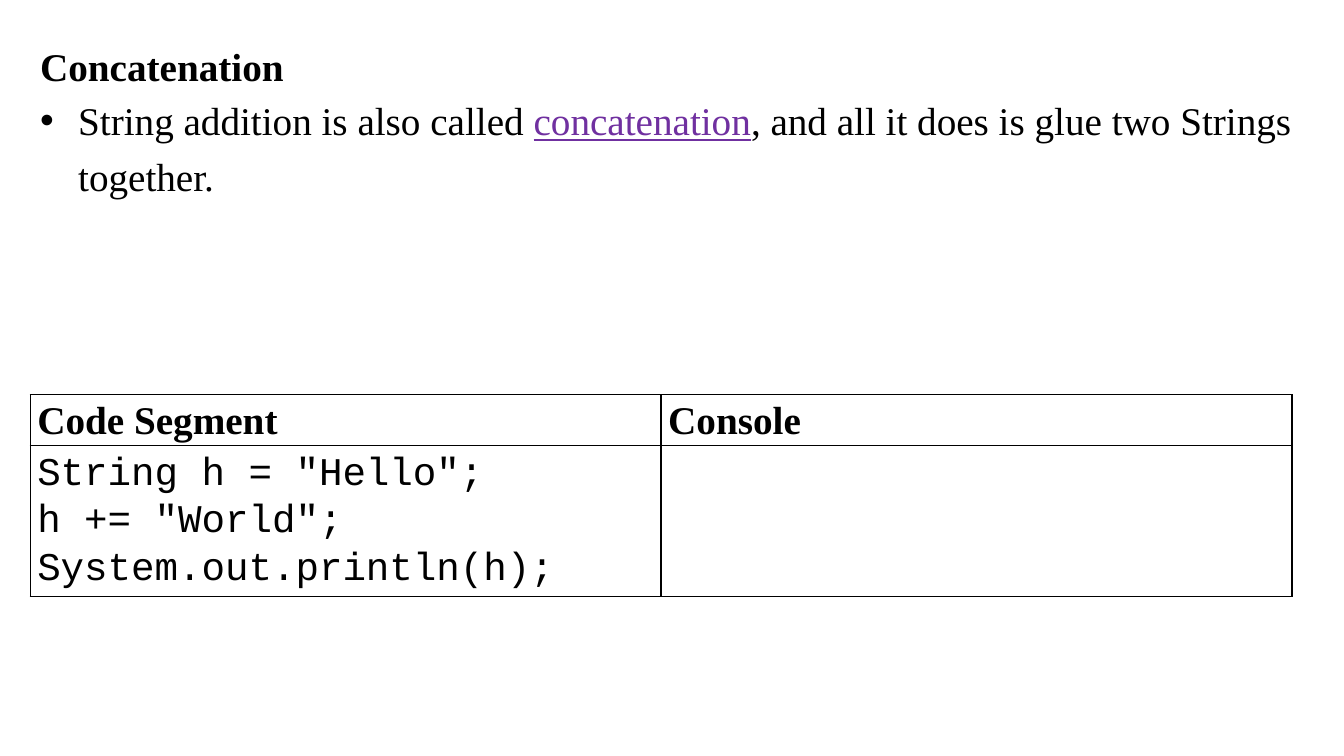
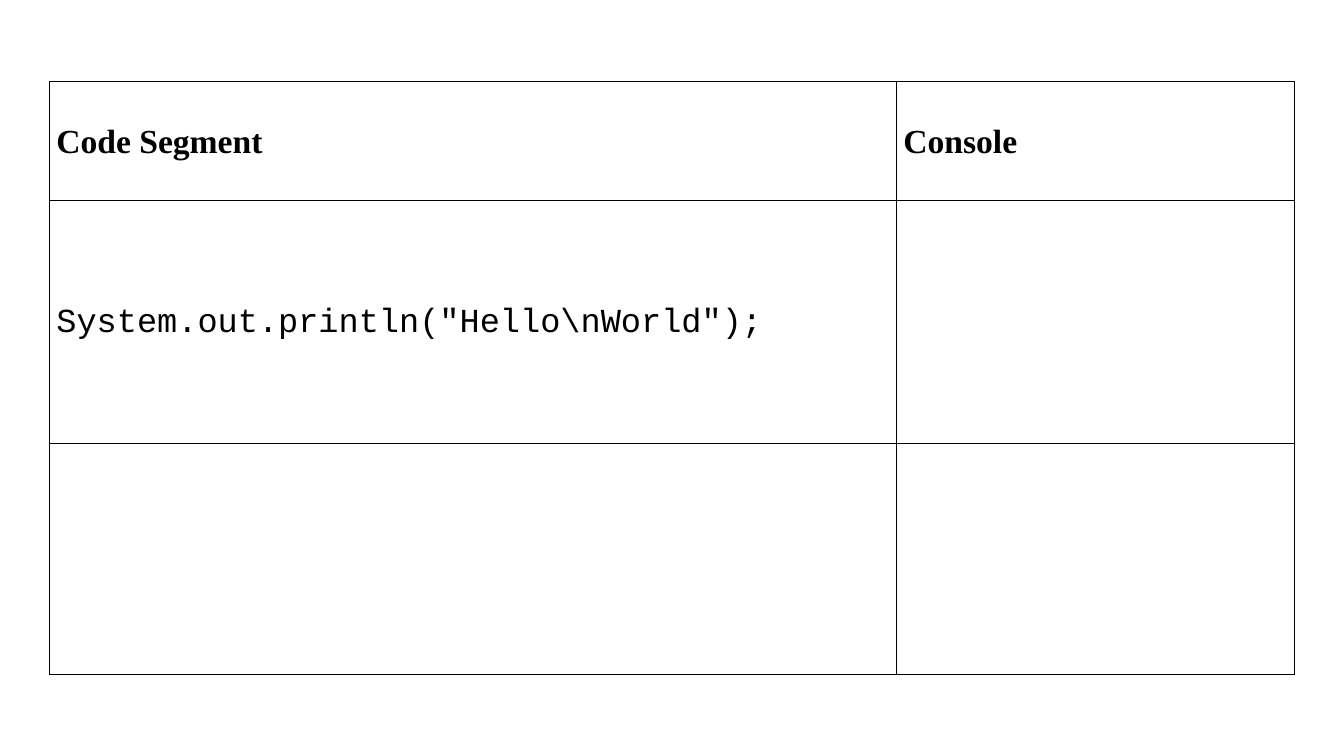
import dataclasses

import lxml.etree
import pptx
import pptx.dml.color
import pptx.enum.text
import pptx.oxml
import pptx.oxml.ns
import pptx.util

Cm = pptx.util.Cm
Pt = pptx.util.Pt


@dataclasses.dataclass(frozen=True)
class Theme:
    """Colours, fonts and type sizes shared by the slides."""

    ink: str = "000000"
    accent: str = "7030A0"
    prose: str = "Times New Roman"
    code: str = "Courier New"
    large: int = 28
    medium: int = 24
    leading: float = 1.07
    bullet_leading: float = 1.2
    rule: int = 1


@dataclasses.dataclass(frozen=True)
class Box:
    """A region of a slide, in centimetres."""

    left: float
    top: float
    width: float
    height: float

    def lengths(self):
        """Return left, top, width and height as lengths."""
        return [Cm(value) for value in dataclasses.astuple(self)]


THEME = Theme()
HEADERS = ["Code Segment", "Console"]


def color(value):
    """Return the colour for a hex value."""
    return pptx.dml.color.RGBColor.from_string(value)


def style_paragraph(para, size, font=THEME.prose, bold=False, leading=THEME.leading):
    """Set the font, leading and alignment of a paragraph."""
    para.alignment = pptx.enum.text.PP_ALIGN.LEFT
    para.line_spacing = leading
    para.space_before = para.space_after = Pt(0)
    para.font.name = font
    para.font.size = Pt(size)
    para.font.bold = bold
    para.font.color.rgb = color(THEME.ink)


def add_bullet(para, indent):
    """Give a paragraph a round bullet with a hanging indent."""
    properties = para._p.get_or_add_pPr()
    properties.set("marL", str(indent))
    properties.set("indent", str(-indent))
    bullet = lxml.etree.SubElement(properties, pptx.oxml.ns.qn("a:buChar"))
    bullet.set("char", "•")


def place_placeholder(shape, box):
    """Move a placeholder and return its text frame, set flush to the top."""
    shape.left, shape.top, shape.width, shape.height = box.lengths()
    frame = shape.text_frame
    frame.word_wrap = True
    frame.auto_size = pptx.enum.text.MSO_AUTO_SIZE.NONE
    frame.vertical_anchor = pptx.enum.text.MSO_ANCHOR.TOP
    frame.margin_left = frame.margin_right = Cm(0.25)
    frame.margin_top = frame.margin_bottom = Cm(0)
    return frame


def add_heading(page, box, text):
    """Fill the title placeholder."""
    para = place_placeholder(page.shapes.title, box).paragraphs[0]
    para.text = text
    style_paragraph(para, THEME.large, bold=True)


def add_definition(page, box, before, term, after):
    """Fill the body placeholder with one bullet that stresses a term."""
    para = place_placeholder(page.placeholders[1], box).paragraphs[0]
    add_bullet(para, Cm(0.96))
    style_paragraph(para, THEME.large, leading=THEME.bullet_leading)
    for text in (before, term, after):
        span = para.add_run()
        span.text = text
        if text == term:
            span.font.color.rgb = color(THEME.accent)
            span.font.underline = True


def add_borders(cell):
    """Rule all four sides of a table cell."""
    properties = cell._tc.get_or_add_tcPr()
    for place, side in enumerate(("lnL", "lnR", "lnT", "lnB")):
        line = pptx.oxml.parse_xml(
            f'<a:{side} {pptx.oxml.ns.nsdecls("a")} w="{Pt(THEME.rule)}"><a:solidFill>'
            f'<a:srgbClr val="{THEME.ink}"/></a:solidFill></a:{side}>'
        )
        properties.insert(place, line)


def fill_cell(cell, text, size, header):
    """Format a table cell and write its lines."""
    cell.fill.background()
    add_borders(cell)
    cell.vertical_anchor = pptx.enum.text.MSO_ANCHOR.MIDDLE
    cell.margin_left = cell.margin_right = Cm(0.18)
    cell.margin_top = cell.margin_bottom = Cm(0)
    cell.text = text
    for para in cell.text_frame.paragraphs:
        style_paragraph(para, size, THEME.prose if header else THEME.code, header)


def add_code_table(page, box, column_shares, row_shares, snippets, size):
    """Add a table of code snippets beside an empty console column."""
    rows = [HEADERS] + [[snippet, ""] for snippet in snippets]
    table = page.shapes.add_table(len(rows), len(HEADERS), *box.lengths()).table
    table.first_row = table.horz_banding = False
    for column, share in zip(table.columns, column_shares):
        column.width = Cm(box.width * share)
    for row, share in zip(table.rows, row_shares):
        row.height = Cm(box.height * share)
    for index, texts in enumerate(rows):
        for cell, text in zip(table.rows[index].cells, texts):
            fill_cell(cell, text, size, header=index == 0)


def build_concatenation(deck):
    """Build the slide that defines concatenation."""
    page = deck.slides.add_slide(deck.slide_layouts[1])
    add_heading(page, Box(0.76, 0.98, 32.13, 1.2), "Concatenation")
    add_definition(
        page,
        Box(0.76, 2.19, 32.13, 2.8),
        "String addition is also called ",
        "concatenation",
        ", and all it does is glue two Strings together.",
    )
    snippet = 'String h = "Hello";\nh += "World";\nSystem.out.println(h);'
    add_code_table(
        page, Box(0.76, 9.95, 31.8, 5.08), (0.5, 0.5), (0.25, 0.75), [snippet], THEME.large
    )


def build_newline(deck):
    """Build the slide with the newline exercise."""
    page = deck.slides.add_slide(deck.slide_layouts[6])
    add_code_table(
        page,
        Box(1.24, 2.06, 31.39, 14.93),
        (0.68, 0.32),
        (0.2, 0.41, 0.39),
        ['System.out.println("Hello\\nWorld");', ""],
        THEME.medium,
    )


def main():
    """Build and save the deck."""
    deck = pptx.Presentation()
    deck.slide_width, deck.slide_height = Cm(33.87), Cm(19.05)
    build_concatenation(deck)
    build_newline(deck)
    deck.save("out.pptx")


if __name__ == "__main__":
    main()
